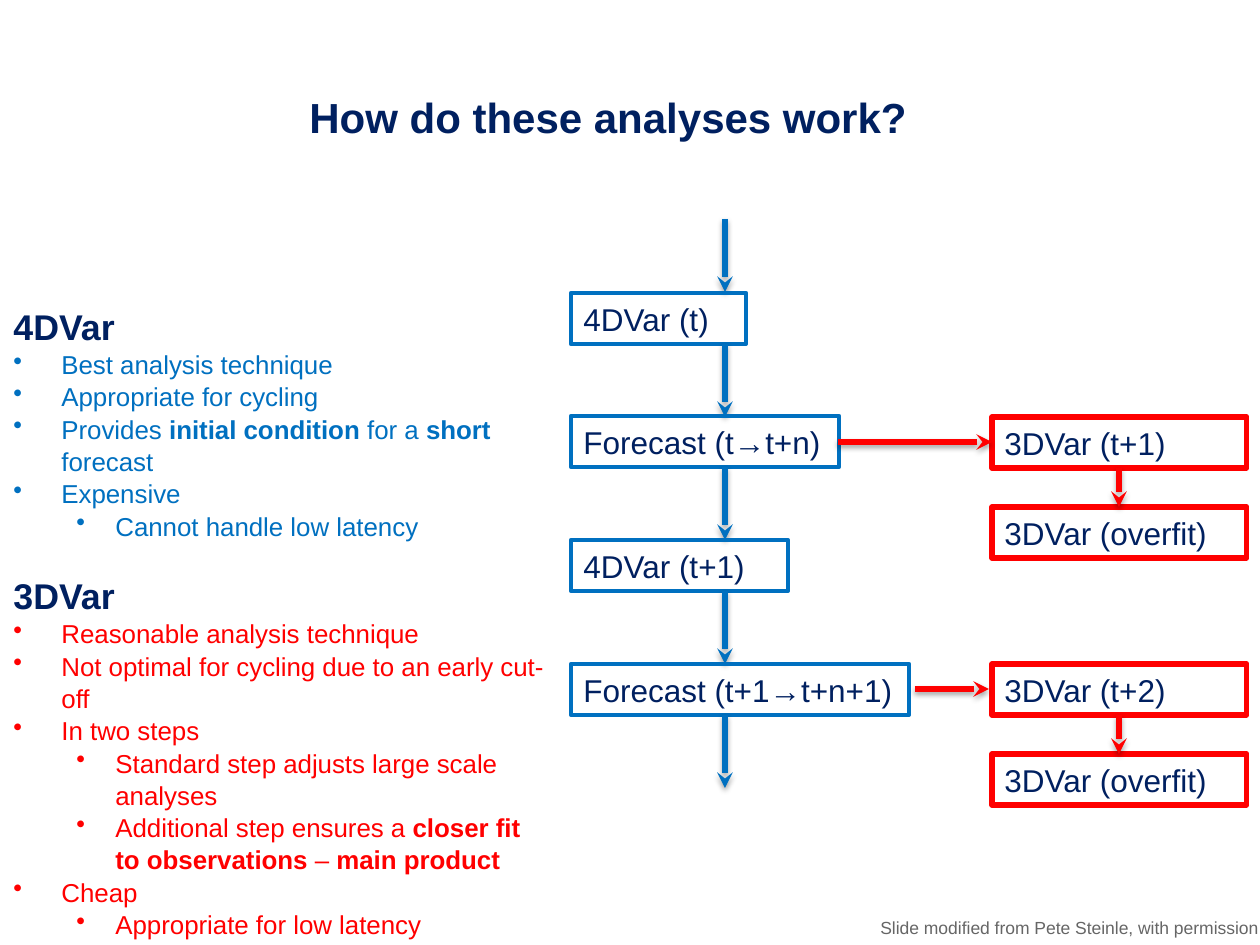
import pptx
import pptx.dml.color
import pptx.enum.shapes
import pptx.enum.text
import pptx.oxml
import pptx.oxml.ns
import pptx.util

PX = 914400 / 126
HUES = {"navy": "002060", "blue": "0070C0", "red": "FF0000", "gray": "666666"}
HEAD = {"size": 20.4, "bold": True}
ITEM = {"size": 14.8, "bold": False}
LEVELS = {0: (48, 48), 1: (102, 39)}
ROW, HIGH = 51, 39
GOOD = [
    (0, "Best analysis technique"),
    (0, "Appropriate for cycling"),
    (0, "Provides *initial condition *for a *short* forecast"),
    (0, "Expensive"),
    (1, "Cannot handle low latency"),
]
QUICK = [
    (0, "Reasonable analysis technique"),
    (0, "Not optimal for cycling due to an early cut-off"),
    (0, "In two steps"),
    (1, "Standard step adjusts large scale analyses"),
    (1, "Additional step ensures a *closer fit to observations* – *main product*"),
    (0, "Cheap"),
    (1, "Appropriate for low latency"),
]


def emu(n):
    """Turn px into EMU."""
    return pptx.util.Emu(round(n * PX))


def rgb(hue):
    """Look up a colour by name."""
    return pptx.dml.color.RGBColor.from_string(HUES[hue])


def put(item, form):
    """Set each attribute named in a dict."""
    for key, val in form.items():
        setattr(item, key, val)


def write(para, text, hue, size, bold=False):
    """Add runs, with bold switched at each asterisk."""
    for i, part in enumerate(text.split("*")):
        if part:
            run = para.add_run()
            run.text = part
            put(run.font, {"name": "Arial", "size": pptx.util.Pt(size),
                           "bold": bold or i % 2 == 1})
            run.font.color.rgb = rgb(hue)


def frame(slide, box, **form):
    """Add a text box and return its frame."""
    text = slide.shapes.add_textbox(*map(emu, box)).text_frame
    put(text, {"word_wrap": True, **form})
    return text


def title(slide, box):
    """Place the slide title."""
    text = frame(slide, box, vertical_anchor=pptx.enum.text.MSO_ANCHOR.MIDDLE)
    write(text.paragraphs[0], "How do these analyses work?", "navy", 24, True)


def bullet(para, level):
    """Give a paragraph its indent and bullet."""
    left, hang = LEVELS[level]
    para.level = level
    prop = para._p.get_or_add_pPr()
    prop.set("marL", str(emu(left)))
    prop.set("indent", str(-emu(hang)))
    mark = pptx.oxml.parse_xml(
        f'<a:buChar {pptx.oxml.ns.nsdecls("a")} char="•"/>')
    prop.append(mark)


def notes(slide, box):
    """Place the two headed lists."""
    text = frame(slide, box, margin_top=emu(47))
    para = text.paragraphs[0]
    for head, hue, items in (("4DVar", "blue", GOOD), ("3DVar", "red", QUICK)):
        if hue == "red":
            para = text.add_paragraph()
            para.space_before = pptx.util.Pt(17.7)
        para.line_spacing = 1.04
        write(para, head, "navy", **HEAD)
        for level, line in items:
            para = text.add_paragraph()
            bullet(para, level)
            para.line_spacing = 1.04
            write(para, line, hue, **ITEM)


def node(slide, box, label, hue, wide):
    """Place one outlined box with its label."""
    kind = pptx.enum.shapes.MSO_SHAPE.RECTANGLE
    shape = slide.shapes.add_shape(kind, *map(emu, box))
    shape.shadow.inherit = False
    shape.fill.background()
    shape.line.color.rgb = rgb(hue)
    shape.line.width = pptx.util.Pt(wide)
    put(shape.text_frame, {
        "word_wrap": True,
        "vertical_anchor": pptx.enum.text.MSO_ANCHOR.MIDDLE})
    para = shape.text_frame.paragraphs[0]
    para.alignment = pptx.enum.text.PP_ALIGN.LEFT
    write(para, label, "navy", 18)


def arrow(slide, ends, hue):
    """Draw a shadowed arrow from start to end."""
    kind = pptx.enum.shapes.MSO_CONNECTOR.STRAIGHT
    link = slide.shapes.add_connector(kind, *map(emu, ends))
    link.line.color.rgb = rgb(hue)
    link.line.width = pptx.util.Pt(3)
    space = pptx.oxml.ns.nsdecls("a")
    link.line._get_or_add_ln().append(
        pptx.oxml.parse_xml(f'<a:tailEnd {space} type="stealth"/>'))
    link._element.spPr.append(pptx.oxml.parse_xml(
        f'<a:effectLst {space}><a:outerShdw blurRad="40000" dist="20000" '
        'dir="5400000" rotWithShape="0"><a:srgbClr val="000000">'
        '<a:alpha val="38000"/></a:srgbClr></a:outerShdw></a:effectLst>'))


def cycle(slide, box):
    """Place the blue column of steps and its arrows."""
    left, top, wide, high = box
    mid, gap = left + 154, 73
    steps = (("4DVar (t)", 175), ("Forecast (t→t+n)", 268),
             ("4DVar (t+1)", 217), ("Forecast (t+1→t+n+1)", wide))
    arrow(slide, (mid, top, mid, top + gap), "blue")
    for i, (label, size) in enumerate(steps):
        y = top + gap + 1 + i * (high - 2 * gap - ROW) // 3
        node(slide, (left, y, size, ROW), label, "blue", 2.5)
        arrow(slide, (mid, y + ROW, mid, y + ROW + gap), "blue")


def branch(slide, box, label, start, stop):
    """Place a red pair of boxes and the arrow that feeds it."""
    left, top, wide, high = box
    mid = left + wide // 2
    low = top + ROW + HIGH
    for y, text in ((top, label), (low, "3DVar (overfit)")):
        node(slide, (left, y, wide, ROW), text, "red", 3)
    y = top + ROW // 2
    arrow(slide, (start, y, stop, y), "red")
    arrow(slide, (mid, top + ROW, mid, low), "red")


def credit(slide, box):
    """Place the source line."""
    text = frame(slide, box, word_wrap=False, margin_right=0)
    write(text.paragraphs[0],
          "Slide modified from Pete Steinle, with permission", "gray", 10)


def main():
    """Build and save the slide."""
    deck = pptx.Presentation()
    put(deck, {"slide_width": emu(1260), "slide_height": emu(945)})
    slide = deck.slides.add_slide(deck.slide_layouts[6])
    title(slide, (297, 38, 900, 158))
    notes(slide, (1, 256, 562, 645))
    cycle(slide, (571, 219, 338, 568))
    branch(slide, (992, 417, 255, 141), "3DVar (t+1)", 838, 992)
    branch(slide, (992, 664, 255, 141), "3DVar (t+2)", 915, 989)
    credit(slide, (868, 911, 392, 34))
    deck.save("out.pptx")


if __name__ == "__main__":
    main()
